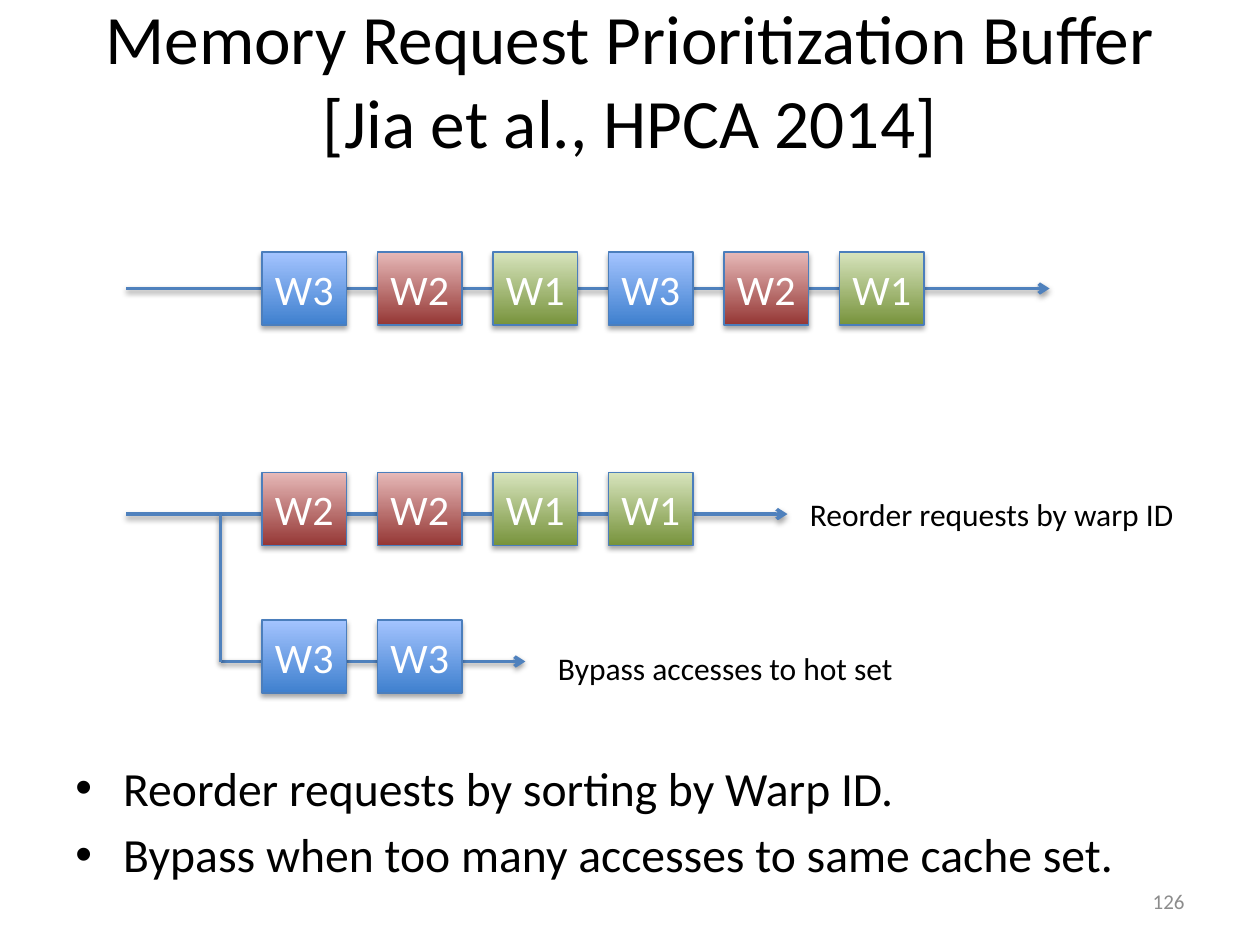
import dataclasses

import lxml.etree
import pptx
import pptx.dml.color
import pptx.enum.shapes
import pptx.enum.text
import pptx.oxml
import pptx.oxml.ns
import pptx.util

Inches = pptx.util.Inches
Pt = pptx.util.Pt
RGB = pptx.dml.color.RGBColor.from_string
ALIGN = pptx.enum.text.PP_ALIGN
ANCHOR = pptx.enum.text.MSO_ANCHOR
qn = pptx.oxml.ns.qn


@dataclasses.dataclass(frozen=True)
class Theme:
    font: str = "Calibri"
    text: str = "000000"
    on_box: str = "FFFFFF"
    muted: str = "8C8C8C"
    flow: str = "4F81BD"
    outline: str = "4B7EBC"
    title_size: float = 39.6
    bullet_size: float = 27.2
    box_size: float = 24
    label_size: float = 18
    number_size: float = 12


theme = Theme()
# Dark bottom and light top colour of each warp
warp_colors = {
    "W1": ("77933C", "D7E4BD"),
    "W2": ("953735", "E6B9B8"),
    "W3": ("3F80CE", "A4C4FF"),
}


def add_span(para, text, size, color):
    span = para.add_run()
    span.text = text
    span.font.name = theme.font
    span.font.size = Pt(size)
    span.font.color.rgb = RGB(color)


def add_shadow(shape, distance, opacity):
    properties = shape._element.spPr
    effects = properties.find(qn("a:effectLst"))
    if effects is None:
        effects = lxml.etree.SubElement(properties, qn("a:effectLst"))
    shadow = lxml.etree.SubElement(
        effects, qn("a:outerShdw"), blurRad=str(Pt(3.1)), dist=str(Pt(distance)),
        dir="5400000", rotWithShape="0")
    color = lxml.etree.SubElement(shadow, qn("a:srgbClr"), val="000000")
    lxml.etree.SubElement(color, qn("a:alpha"), val=str(opacity * 1000))


deck = pptx.Presentation()
deck.slide_width = Inches(10)
deck.slide_height = Inches(7.5)
page = deck.slides.add_slide(deck.slide_layouts[5])

# Title
title = page.shapes.title
title.left, title.top = Inches(0.5), Inches(0)
title.width, title.height = Inches(9), Inches(1.25)
title.text_frame.auto_size = pptx.enum.text.MSO_AUTO_SIZE.NONE
title.text_frame.vertical_anchor = ANCHOR.MIDDLE
para = title.text_frame.paragraphs[0]
para.alignment = ALIGN.CENTER
add_span(para, "Memory Request Prioritization Buffer", theme.title_size, theme.text)
para.add_line_break()
add_span(para, "[Jia et al., HPCA 2014]", theme.title_size, theme.text)

# Flow lines: start, end, arrowhead
flows = [
    ((1, 2.29), (8.33, 2.29), True),
    ((1, 4.08), (6.25, 4.08), True),
    ((1.75, 5.25), (4.17, 5.25), True),
    ((1.75, 5.25), (1.75, 4.08), False),
]
for start, end, has_arrow in flows:
    flow = page.shapes.add_connector(
        pptx.enum.shapes.MSO_CONNECTOR.STRAIGHT,
        *(Inches(value) for value in start + end))
    flow.line.color.rgb = RGB(theme.flow)
    flow.line.width = Pt(2)
    if has_arrow:
        lxml.etree.SubElement(flow.line._get_or_add_ln(), qn("a:tailEnd"), type="arrow")
    add_shadow(flow, 1.6, 38)

# Queued requests: top of row, warps from left to right
queues = [
    (2, ["W3", "W2", "W1", "W3", "W2", "W1"]),
    (3.75, ["W2", "W2", "W1", "W1"]),
    (4.92, ["W3", "W3"]),
]
first_left, pitch = 2.08, 11 / 12
for top, warps in queues:
    for column, warp in enumerate(warps):
        box = page.shapes.add_shape(
            pptx.enum.shapes.MSO_SHAPE.RECTANGLE,
            Inches(first_left + column * pitch), Inches(top), Inches(0.67), Inches(0.58))
        box.fill.gradient()
        box.fill.gradient_angle = 90
        for stop, position, color in zip(box.fill.gradient_stops, (0, 1), warp_colors[warp]):
            stop.position = position
            stop.color.rgb = RGB(color)
        box.line.color.rgb = RGB(theme.outline)
        box.line.width = Pt(0.75)
        box.shadow.inherit = False
        add_shadow(box, 1.8, 35)
        frame = box.text_frame
        frame.margin_left = frame.margin_right = frame.margin_top = frame.margin_bottom = 0
        frame.vertical_anchor = ANCHOR.MIDDLE
        para = frame.paragraphs[0]
        para.alignment = ALIGN.CENTER
        add_span(para, warp, theme.box_size, theme.on_box)

# Queue labels
labels = [
    (4.33, 5.1, 2.89, "Bypass accesses to hot set"),
    (6.33, 3.88, 3.13, "Reorder requests by warp ID"),
]
for left, top, width, text in labels:
    label = page.shapes.add_textbox(Inches(left), Inches(top), Inches(width), Inches(0.4))
    label.text_frame.word_wrap = False
    add_span(label.text_frame.paragraphs[0], text, theme.label_size, theme.text)

# Bullets
body = page.shapes.add_textbox(Inches(0.5), Inches(5.97), Inches(9), Inches(1.28))
body.text_frame.word_wrap = True
bullets = [
    "Reorder requests by sorting by Warp ID.",
    "Bypass when too many accesses to same cache set.",
]
for index, text in enumerate(bullets):
    para = body.text_frame.add_paragraph() if index else body.text_frame.paragraphs[0]
    properties = para._p.get_or_add_pPr()
    properties.set("marL", str(Inches(0.38)))
    properties.set("indent", str(Inches(-0.38)))
    lxml.etree.SubElement(properties, qn("a:buFont"), typeface="Arial")
    lxml.etree.SubElement(properties, qn("a:buChar"), char="•")
    if index:
        para.space_before = Pt(theme.bullet_size * 0.2)
    add_span(para, text, theme.bullet_size, theme.text)

# Page number
number = page.shapes.add_textbox(Inches(7.17), Inches(6.95), Inches(2.33), Inches(0.4))
number.text_frame.word_wrap = True
number.text_frame.vertical_anchor = ANCHOR.MIDDLE
para = number.text_frame.paragraphs[0]
para.alignment = ALIGN.RIGHT
add_span(para, "126", theme.number_size, theme.muted)

deck.save("out.pptx")
